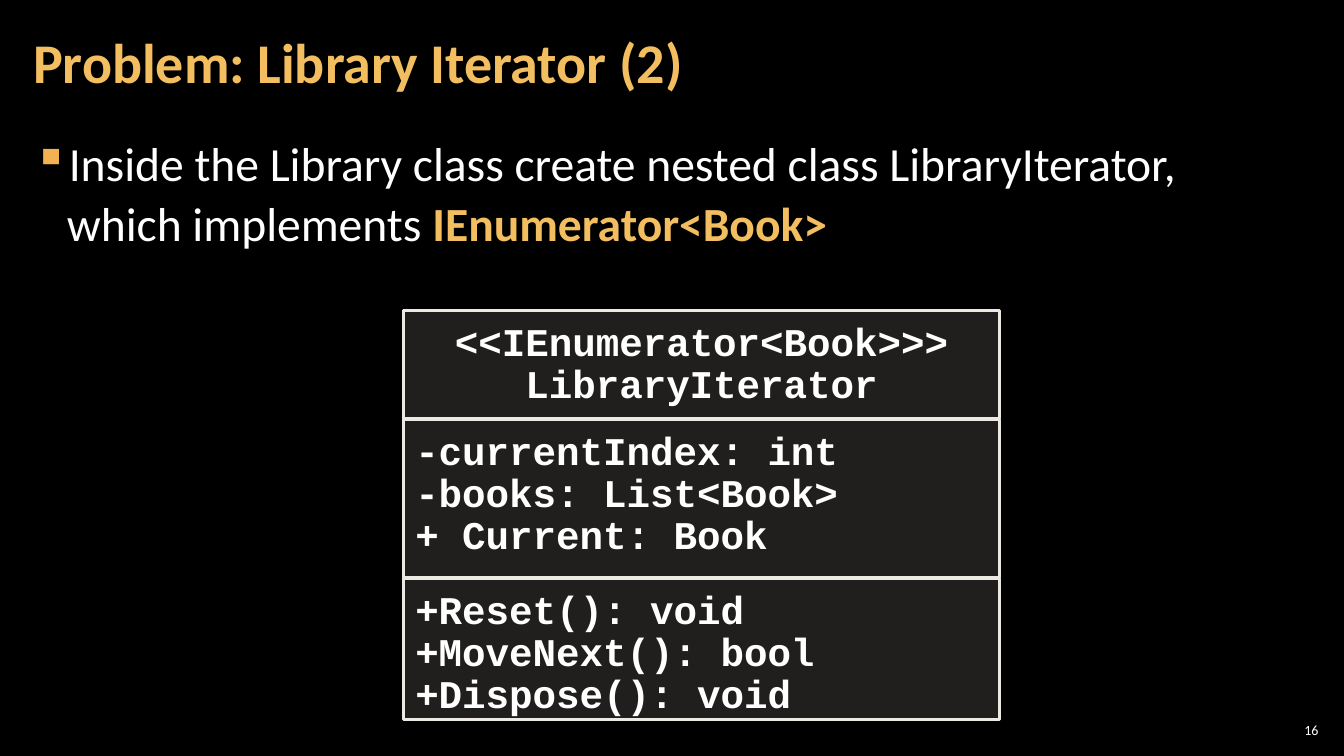
from dataclasses import dataclass

from lxml import etree
from pptx import Presentation
from pptx.dml.color import RGBColor
from pptx.enum.shapes import MSO_SHAPE
from pptx.enum.text import MSO_ANCHOR, PP_ALIGN
from pptx.oxml.ns import qn
from pptx.util import Pt

RECTANGLE = MSO_SHAPE.RECTANGLE
TOP, MIDDLE = MSO_ANCHOR.TOP, MSO_ANCHOR.MIDDLE
LEFT, CENTER, RIGHT = PP_ALIGN.LEFT, PP_ALIGN.CENTER, PP_ALIGN.RIGHT

BLACK = RGBColor(0x00, 0x00, 0x00)
WHITE = RGBColor(0xFF, 0xFF, 0xFF)
GOLD = RGBColor(0xF3, 0xBE, 0x60)
BULLET_GOLD = RGBColor(0xF2, 0xB2, 0x54)
SAND = RGBColor(0xD9, 0xD5, 0xC7)
IVORY = RGBColor(0xEC, 0xEA, 0xE3)

BODY_FORMAT = {"name": "Calibri", "size": Pt(34), "bold": False}
STRONG_FORMAT = {**BODY_FORMAT, "bold": True}
TITLE_FORMAT = {"name": "Calibri", "size": Pt(40), "bold": True}
NUMBER_FORMAT = {"name": "Calibri", "size": Pt(10), "bold": False}
CODE_FORMAT = {"name": "Courier New", "size": Pt(28), "bold": True}

BULLET_INDENT = 24
FILL_OPACITY = 15
DIAGRAM_LEFT, DIAGRAM_TOP, DIAGRAM_WIDTH = 288, 221.76, 426.24
COMPARTMENT_GAP = 0.72


@dataclass(frozen=True)
class Compartment:
    height: float
    lines: tuple[str, ...]
    alignment: PP_ALIGN = LEFT


CLASS_DIAGRAM = (
    Compartment(77.04, ("<<IEnumerator<Book>>>", "LibraryIterator"), CENTER),
    Compartment(113.04, ("-currentIndex: int", "-books: List<Book>", "+ Current: Book")),
    Compartment(100.8, ("+Reset(): void", "+MoveNext(): bool", "+Dispose(): void")),
)


def add_run(paragraph, text: str, font_format: dict, color: RGBColor = WHITE) -> None:
    run = paragraph.add_run()
    run.text = text
    for attribute, value in font_format.items():
        setattr(run.font, attribute, value)
    run.font.color.rgb = color


def set_frame(frame, horizontal: float, vertical: float, anchor: MSO_ANCHOR) -> None:
    """Set wrapping, insets and anchor of a text frame."""
    frame_format = {
        "word_wrap": True,
        "vertical_anchor": anchor,
        "margin_left": Pt(horizontal),
        "margin_right": Pt(horizontal),
        "margin_top": Pt(vertical),
        "margin_bottom": Pt(vertical),
    }
    for attribute, value in frame_format.items():
        setattr(frame, attribute, value)


def add_text_box(slide, left: float, top: float, width: float, height: float,
                 inset: float, anchor: MSO_ANCHOR):
    """Add an empty text box and return its first paragraph."""
    box = slide.shapes.add_textbox(Pt(left), Pt(top), Pt(width), Pt(height))
    set_frame(box.text_frame, inset, 2.88, anchor)
    return box.text_frame.paragraphs[0]


def add_bullet(paragraph) -> None:
    properties = paragraph._p.get_or_add_pPr()
    properties.set("marL", str(Pt(BULLET_INDENT)))
    properties.set("indent", str(-Pt(BULLET_INDENT)))
    color = etree.SubElement(properties, qn("a:buClr"))
    etree.SubElement(color, qn("a:srgbClr"), val=str(BULLET_GOLD))
    etree.SubElement(properties, qn("a:buChar"), char="▪")


def add_compartment(slide, compartment: Compartment, top: float) -> None:
    shape = slide.shapes.add_shape(RECTANGLE, Pt(DIAGRAM_LEFT), Pt(top),
                                   Pt(DIAGRAM_WIDTH), Pt(compartment.height))
    shape.shadow.inherit = False
    shape.fill.solid()
    shape.fill.fore_color.rgb = SAND
    fill_color = shape._element.spPr.find(qn("a:solidFill")).find(qn("a:srgbClr"))
    etree.SubElement(fill_color, qn("a:alpha"), val=str(FILL_OPACITY * 1000))
    shape.line.color.rgb = IVORY
    shape.line.width = Pt(2)

    frame = shape.text_frame
    set_frame(frame, 8.64, 8.64, TOP)
    for index, line in enumerate(compartment.lines):
        paragraph = frame.add_paragraph() if index else frame.paragraphs[0]
        paragraph.alignment = compartment.alignment
        paragraph.line_spacing = Pt(30)
        add_run(paragraph, line, CODE_FORMAT)


def main() -> None:
    presentation = Presentation()
    presentation.slide_width, presentation.slide_height = Pt(960), Pt(540)
    slide = presentation.slides.add_slide(presentation.slide_layouts[6])
    slide.background.fill.solid()
    slide.background.fill.fore_color.rgb = BLACK

    number = add_text_box(slide, 910.8, 514.08, 33.84, 15.12, 2.88, MIDDLE)
    number.alignment = RIGHT
    add_run(number, "16", NUMBER_FORMAT)

    body = add_text_box(slide, 15.12, 90.72, 929.52, 438.48, 8.64, TOP)
    add_bullet(body)
    body.line_spacing = 1.05
    body.space_after = Pt(6)
    add_run(body, "Inside the Library class create nested class LibraryIterator,", BODY_FORMAT)
    body.add_line_break()
    add_run(body, "which implements ", BODY_FORMAT)
    add_run(body, "IEnumerator<Book>", STRONG_FORMAT, GOLD)

    title = add_text_box(slide, 15.12, 2.88, 753.84, 87.12, 8.64, MIDDLE)
    title.line_spacing = 0.9
    add_run(title, "Problem: Library Iterator (2)", TITLE_FORMAT, GOLD)

    top = DIAGRAM_TOP
    for compartment in CLASS_DIAGRAM:
        add_compartment(slide, compartment, top)
        top += compartment.height + COMPARTMENT_GAP

    presentation.save("out.pptx")


if __name__ == "__main__":
    main()
